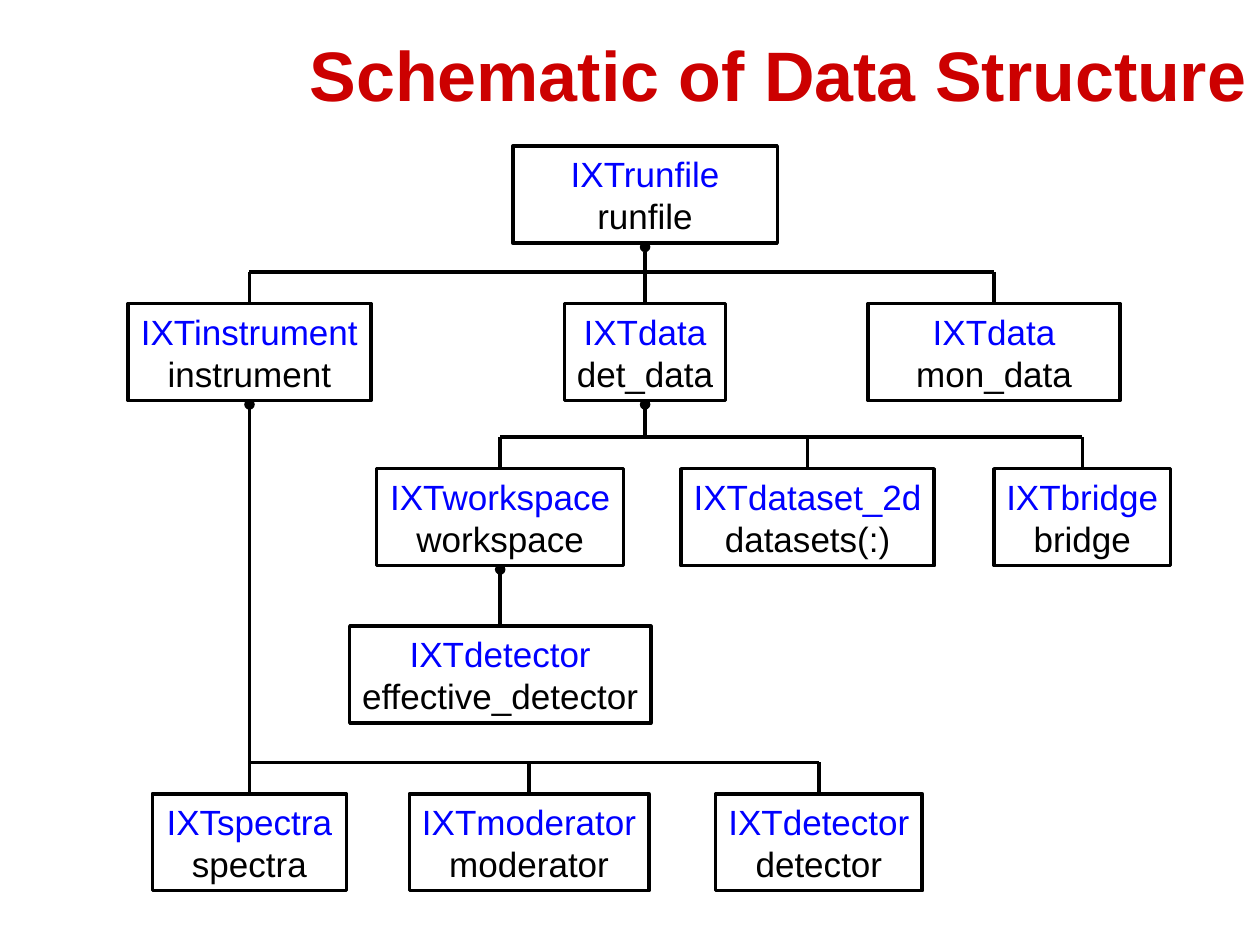
import pptx
import pptx.dml.color
import pptx.enum.shapes
import pptx.enum.text
import pptx.oxml
import pptx.oxml.ns
import pptx.util

Inches = pptx.util.Inches
Pt = pptx.util.Pt
RED = pptx.dml.color.RGBColor(0xCC, 0x00, 0x00)
BLUE = pptx.dml.color.RGBColor(0x00, 0x00, 0xFF)
BLACK = pptx.dml.color.RGBColor(0x00, 0x00, 0x00)

ROW_TOPS = [1.16, 2.41, 3.72, 4.97, 6.3]
BOX_HEIGHT = 0.77
BUS_GAP = 0.25
STEM_GAP = 0.03

NODES = {
    "runfile": ("IXTrunfile", 0, 5.12, 2.1),
    "instrument": ("IXTinstrument", 1, 1.98, 1.93),
    "det_data": ("IXTdata", 1, 5.12, 1.28),
    "mon_data": ("IXTdata", 1, 7.89, 2.0),
    "workspace": ("IXTworkspace", 2, 3.97, 1.96),
    "datasets(:)": ("IXTdataset_2d", 2, 6.41, 2.01),
    "bridge": ("IXTbridge", 2, 8.59, 1.4),
    "effective_detector": ("IXTdetector", 3, 3.97, 2.39),
    "spectra": ("IXTspectra", 4, 1.98, 1.54),
    "moderator": ("IXTmoderator", 4, 4.2, 1.9),
    "detector": ("IXTdetector", 4, 6.5, 1.64),
}

CHILDREN = {
    "runfile": ["instrument", "det_data", "mon_data"],
    "instrument": ["spectra", "moderator", "detector"],
    "det_data": ["workspace", "datasets(:)", "bridge"],
    "workspace": ["effective_detector"],
}


def add_title(slide, text):
    shape = slide.shapes.add_textbox(Inches(2.36), Inches(0.2), Inches(7.63), Inches(BOX_HEIGHT))
    frame = shape.text_frame
    frame.word_wrap = False
    frame.vertical_anchor = pptx.enum.text.MSO_ANCHOR.BOTTOM
    paragraph = frame.paragraphs[0]
    paragraph.text = text
    paragraph.alignment = pptx.enum.text.PP_ALIGN.CENTER
    paragraph.font.name = "Arial"
    paragraph.font.size = Pt(40)
    paragraph.font.bold = True
    paragraph.font.color.rgb = RED


def add_node(slide, type_name, field_name, row, center, width):
    shape = slide.shapes.add_shape(
        pptx.enum.shapes.MSO_SHAPE.RECTANGLE,
        Inches(center - width / 2), Inches(ROW_TOPS[row]), Inches(width), Inches(BOX_HEIGHT),
    )
    shape.shadow.inherit = False
    shape.fill.background()
    shape.line.color.rgb = BLACK
    shape.line.width = Pt(2)
    frame = shape.text_frame
    frame.word_wrap = False
    frame.vertical_anchor = pptx.enum.text.MSO_ANCHOR.MIDDLE
    paragraph = frame.paragraphs[0]
    paragraph.alignment = pptx.enum.text.PP_ALIGN.CENTER
    paragraph.font.name = "Arial"
    paragraph.font.size = Pt(20)
    type_run = paragraph.add_run()
    type_run.text = type_name
    type_run.font.color.rgb = BLUE
    paragraph.add_line_break()
    field_run = paragraph.add_run()
    field_run.text = field_name
    field_run.font.color.rgb = BLACK
    for run in (type_run, field_run):
        run.font.name = "Arial"
        run.font.size = Pt(20)


def add_line(slide, start, end, dot=False):
    connector = slide.shapes.add_connector(
        pptx.enum.shapes.MSO_CONNECTOR.STRAIGHT,
        *(Inches(length) for length in start + end),
    )
    connector.line.color.rgb = BLACK
    connector.line.width = Pt(2)
    if dot:
        line = connector.line._get_or_add_ln()
        head = pptx.oxml.ns.qn("a:headEnd")
        line.append(line.makeelement(head, {"type": "oval"}))
    properties = connector._element.spPr
    properties.append(properties.makeelement(pptx.oxml.ns.qn("a:effectLst"), {}))


def add_branch(slide, parent, children):
    _, parent_row, parent_center, _ = NODES[parent]
    child_top = ROW_TOPS[NODES[children[0]][1]]
    bus = child_top - BUS_GAP
    centers = [NODES[child][2] for child in children]
    stem_end = child_top if parent_center in centers else bus
    stem_start = ROW_TOPS[parent_row] + BOX_HEIGHT + STEM_GAP
    add_line(slide, (parent_center, stem_start), (parent_center, stem_end), dot=True)
    if len(centers) > 1:
        add_line(slide, (min(centers), bus), (max(centers), bus))
    for center in centers:
        if center != parent_center:
            add_line(slide, (center, bus), (center, child_top))


def main():
    presentation = pptx.Presentation()
    presentation.slide_width = Inches(10)
    presentation.slide_height = Inches(7.5)
    slide = presentation.slides.add_slide(presentation.slide_layouts[6])
    for field_name, (type_name, row, center, width) in NODES.items():
        add_node(slide, type_name, field_name, row, center, width)
    for parent, children in CHILDREN.items():
        add_branch(slide, parent, children)
    add_title(slide, "Schematic of Data Structure")
    presentation.save("out.pptx")


if __name__ == "__main__":
    main()
